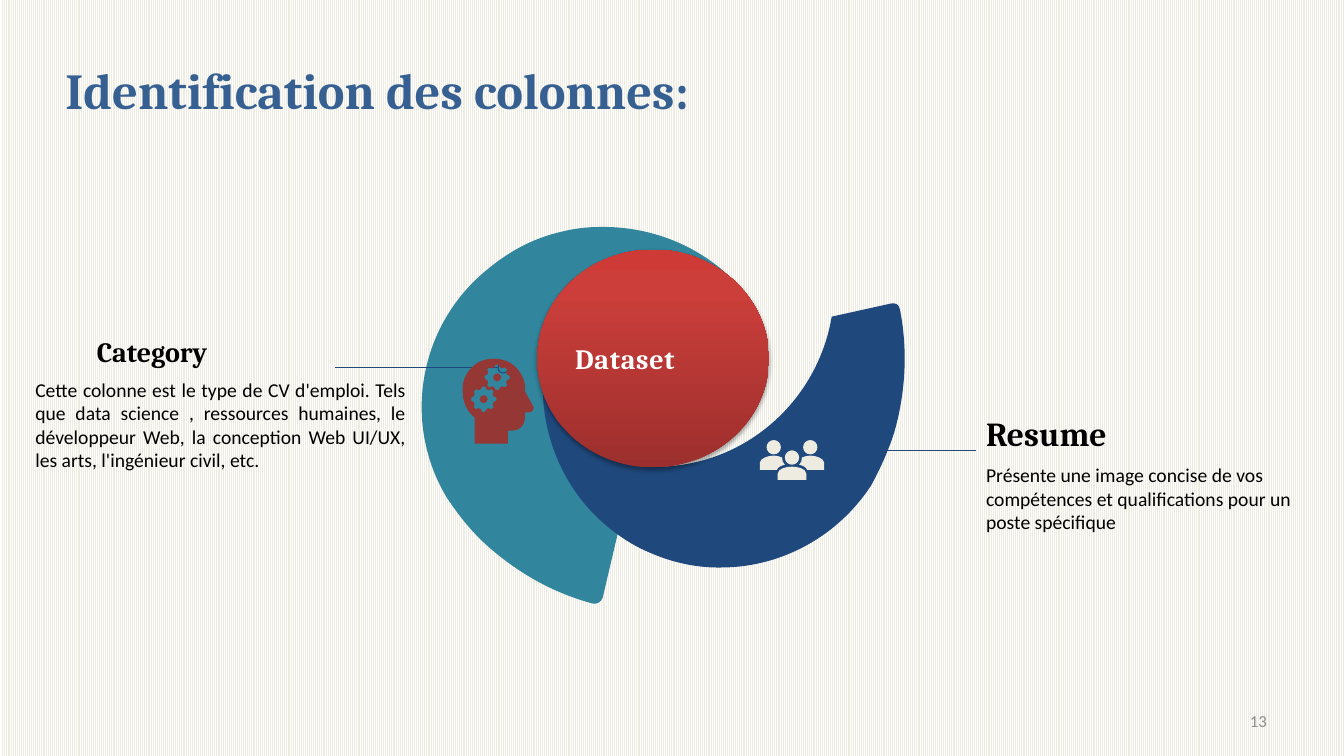
import copy
import math
import lxml.etree
import pptx
import pptx.dml.color
import pptx.enum.dml
import pptx.enum.shapes
import pptx.enum.text
import pptx.oxml
import pptx.oxml.ns
import pptx.util

Cm = pptx.util.Cm
Pt = pptx.util.Pt
qn = pptx.oxml.ns.qn
kind = pptx.enum.shapes.MSO_SHAPE
side = pptx.enum.text.PP_ALIGN
mid = pptx.enum.text.MSO_ANCHOR.MIDDLE
low = pptx.enum.text.MSO_ANCHOR.BOTTOM
top = pptx.enum.text.MSO_ANCHOR.TOP
hues = {
    "title": "376092", "teal": "31859C", "navy": "1F497D", "maroon": "953735",
    "cream": "EEECE1", "white": "FFFFFF", "black": "000000", "gray": "8C8C8C",
    "dark": "9C2F2D", "red": "CB3E3A", "light": "CE3B37",
}
tint = {name: pptx.dml.color.RGBColor.from_string(code) for name, code in hues.items()}

deck = pptx.Presentation()
deck.slide_width, deck.slide_height = Cm(33.87), Cm(19.05)
slide = deck.slides.add_slide(deck.slide_layouts[6])
shapes = slide.shapes

back = slide.background.fill
back.patterned()
back.pattern = pptx.enum.dml.MSO_PATTERN.NARROW_VERTICAL
back.fore_color.rgb = tint["cream"]
back.back_color.rgb = tint["white"]


def outline(rings, color):
    build = shapes.build_freeform(*map(Cm, rings[0][0]))
    for n, ring in enumerate(rings):
        if n:
            build.move_to(*map(Cm, ring[0]))
        build.add_line_segments([(Cm(step[-2]), Cm(step[-1])) for step in ring[1:]], close=True)
    form = build.convert_to_shape()
    form.shadow.inherit = False
    form.fill.solid()
    form.fill.fore_color.rgb = tint[color]
    form.line.fill.background()
    steps = [step for ring in rings for step in ring[1:]]
    for edge, step in zip(list(form._element.iter(qn("a:lnTo"))), steps):
        if len(step) == 6:
            edge.tag = qn("a:cubicBezTo")
            last = edge[0]
            for x, y in (step[:2], step[2:4]):
                spot = copy.deepcopy(last)
                spot.set("x", str(Cm(x) - form.left))
                spot.set("y", str(Cm(y) - form.top))
                last.addprevious(spot)


def style(shape, text, size, font, color, bold, align, anchor, pad):
    frame = shape.text_frame
    frame.text = text
    frame.word_wrap = True
    frame.vertical_anchor = anchor
    frame.margin_left = frame.margin_right = Cm(pad)
    line = frame.paragraphs[0]
    line.alignment = align
    face = line.runs[0].font
    face.size, face.name, face.bold = Pt(size), font, bold
    face.color.rgb = tint[color]


blade = [
    (18.67, 7.26), (17.76, 6.23, 16.45, 5.7, 15.13, 5.72), (14.8, 5.72, 14.47, 5.76, 14.15, 5.84),
    (13.49, 5.99, 12.88, 6.3, 12.32, 6.76), (11.25, 7.61, 10.68, 8.84, 10.63, 10.09),
    (10.6, 10.92, 10.8, 11.77, 11.25, 12.52), (11.53, 12.95, 11.84, 13.34, 12.19, 13.67),
    (12.98, 14.4, 13.92, 14.94, 14.94, 15.21), (15.04, 15.24, 15.16, 15.16, 15.19, 15.06),
    (15.57, 13.44), (13.89, 12.22, 13.23, 9.96, 14.12, 7.98), (18.75, 7.39),
]
outline([blade], "teal")
blade = [
    (22.68, 7.8), (22.66, 7.67, 22.56, 7.62, 22.45, 7.65), (20.96, 7.98),
    (20.6, 10.13, 18.75, 11.76, 16.54, 11.76), (14.05, 10.11), (14.07, 7.95),
    (13.77, 8.64, 13.65, 9.36, 13.69, 10.07), (13.78, 11.38, 14.42, 12.62, 15.49, 13.41),
    (15.75, 13.61, 16.05, 13.79, 16.36, 13.92), (16.97, 14.19, 17.61, 14.32, 18.24, 14.3),
    (19.7, 14.28, 21.11, 13.52, 21.95, 12.24), (22.17, 11.84, 22.38, 11.38, 22.53, 10.92),
    (22.71, 10.3, 22.8, 9.66, 22.8, 9.04), (22.8, 8.62, 22.76, 8.2, 22.68, 7.8),
]
outline([blade], "navy")

hub = shapes.add_shape(kind.OVAL, Cm(13.54), Cm(6.29), Cm(5.84), Cm(5.49))
hub.line.fill.background()
hub.fill.gradient()
hub.fill.gradient_angle = 90
for stop, name, spot in zip(hub.fill.gradient_stops, ("dark", "light"), (0, 1)):
    stop.color.rgb = tint[name]
    stop.position = spot
first = hub._element.spPr.find(".//" + qn("a:gs"))
first.addnext(copy.deepcopy(first))
stop = hub.fill.gradient_stops[1]
stop.color.rgb = tint["red"]
stop.position = 0.8
hub.shadow.inherit = False
glow = hub._element.spPr.find(qn("a:effectLst"))
glow.append(pptx.oxml.parse_xml(
    '<a:outerShdw xmlns:a="http://schemas.openxmlformats.org/drawingml/2006/main" '
    'blurRad="39370" dist="22860" dir="5400000" rotWithShape="0">'
    '<a:srgbClr val="000000"><a:alpha val="35000"/></a:srgbClr></a:outerShdw>'))
style(hub, "Dataset", 20, "Cambria", "white", True, side.LEFT, mid, 0.1)
hub.text_frame.margin_top = hub.text_frame.margin_bottom = Cm(0.1)
hub.text_frame.paragraphs[0].runs[0].font._element.set("spc", "50")

texts = [
    ("Identification des colonnes:", 1.4, 1.22, 31.55, 2.06, 36, "Cambria", "title", True, side.LEFT, mid, 0.25),
    ("Resume", 24.85, 10.28, 8.13, 1.27, 24, "Cambria", "black", True, side.LEFT, low, 0),
    ("Présente une image concise de vos compétences et qualifications pour un poste spécifique",
     24.85, 11.54, 8.13, 2.06, 14, "Calibri", "black", False, side.LEFT, top, 0),
    ("Category", 2.44, 8.28, 5.79, 1.12, 20, "Cambria", "black", True, side.LEFT, low, 0),
    ("Cette colonne est le type de CV d'emploi. Tels que data science , ressources humaines, "
     "le développeur Web, la conception Web UI/UX, les arts, l'ingénieur civil, etc.",
     0.89, 9.39, 9.34, 2.64, 14, "Calibri", "black", False, side.JUSTIFY, top, 0),
    ("13", 24.28, 17.65, 7.9, 1.02, 12, "Calibri", "gray", False, side.RIGHT, mid, 0.25),
]
for text, x, y, wide, high, *look in texts:
    style(shapes.add_textbox(Cm(x), Cm(y), Cm(wide), Cm(high)), text, *look)

for start, end, y, x in [(8.45, 12.55, 9.27, 12.55), (24.59, 21.29, 11.35, 21.03)]:
    link = shapes.add_connector(pptx.enum.shapes.MSO_CONNECTOR.STRAIGHT, Cm(start), Cm(y), Cm(end), Cm(y))
    lxml.etree.SubElement(link._element.spPr, qn("a:effectLst"))
    dot = shapes.add_shape(kind.OVAL, Cm(x), Cm(y - 0.13), Cm(0.26), Cm(0.26))
    dot.shadow.inherit = False
    dot.fill.background()
    for item in (link, dot):
        item.line.color.rgb = tint["navy"]
        item.line.width = Pt(0.75)

disc = [(1, 0), (1, 0.55, 0.55, 1, 0, 1), (-0.55, 1, -1, 0.55, -1, 0),
        (-1, -0.55, -0.55, -1, 0, -1), (0.55, -1, 1, -0.55, 1, 0)]
body = [
    (0.46, 11.48), (0.61, 11.48, 0.81, 11.56, 0.81, 11.66), (0.81, 11.84), (0.38, 11.84),
    (0.36, 11.76, 0.25, 11.73, 0.18, 11.71), (0.23, 11.66, 0.25, 11.61, 0.25, 11.53),
    (0.3, 11.51, 0.38, 11.48, 0.46, 11.48),
]
chest = [
    (0, 11.76), (0.15, 11.76, 0.36, 11.81, 0.36, 11.94), (0.36, 12.09), (-0.36, 12.09),
    (-0.36, 11.94), (-0.36, 11.81, -0.15, 11.76, 0, 11.76),
]
axis = 19.96
crowd = []
parts = [(body, 0, 0, 1, 1), (body, 0, 0, -1, 1), (chest, 0, 0, 1, 1)]
parts += [(disc, x, y, 0.18, 0.18) for x, y in [(0, 11.53), (-0.46, 11.27), (0.46, 11.27)]]
for ring, x, y, wide, high in parts:
    crowd.append([tuple(y + high * v if k % 2 else axis + x + wide * v
                        for k, v in enumerate(step)) for step in ring])
outline(crowd, "cream")

head = [
    (12.45, 9.04), (12.57, 9.04, 12.73, 9.07, 12.85, 9.14), (13.11, 9.3, 13.26, 9.58, 13.23, 9.86),
    (13.41, 10.19), (13.49, 10.29, 13.44, 10.36, 13.36, 10.39), (13.23, 10.39), (13.23, 10.54),
    (13.23, 10.69, 13.11, 10.85, 12.93, 10.85), (12.8, 10.85), (12.8, 11.18), (11.96, 11.18),
    (11.96, 10.52), (11.76, 10.36, 11.66, 10.11, 11.66, 9.86),
    (11.63, 9.58, 11.79, 9.3, 12.04, 9.14), (12.17, 9.07, 12.29, 9.04, 12.45, 9.04),
]
mind = [head]
tooth = [(-0.29, 0.26), (-0.12, 0.32), (0.12, 0.32), (0.29, 0.26)]
gear = [(r * math.cos(math.tau * n / 8 + a), r * math.sin(math.tau * n / 8 + a))
        for n in range(8) for a, r in tooth]
hole = [tuple(0.1 * v for v in step) for step in disc]
for spot in [(12.19, 10.06), (12.53, 9.51)]:
    for ring in (gear, hole):
        mind.append([tuple(spot[k % 2] + v for k, v in enumerate(step)) for step in ring])
outline(mind, "maroon")

deck.save("out.pptx")
